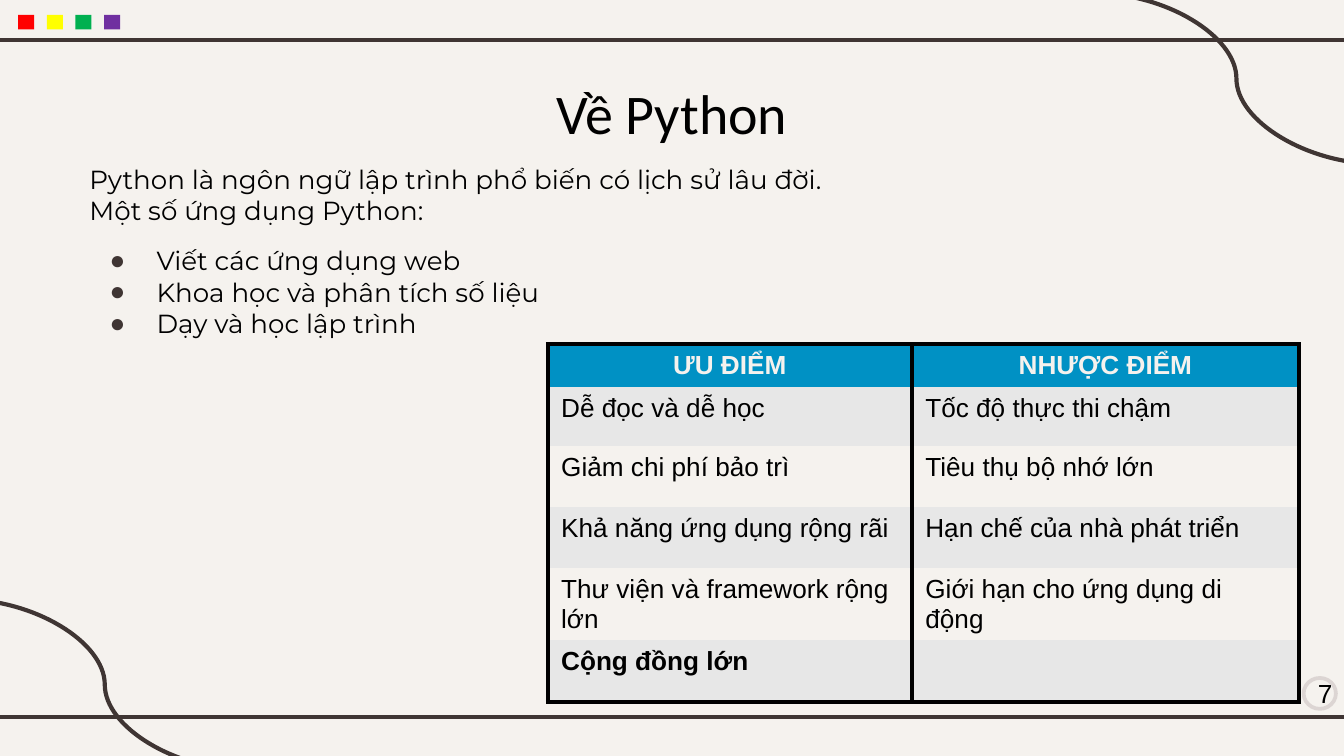
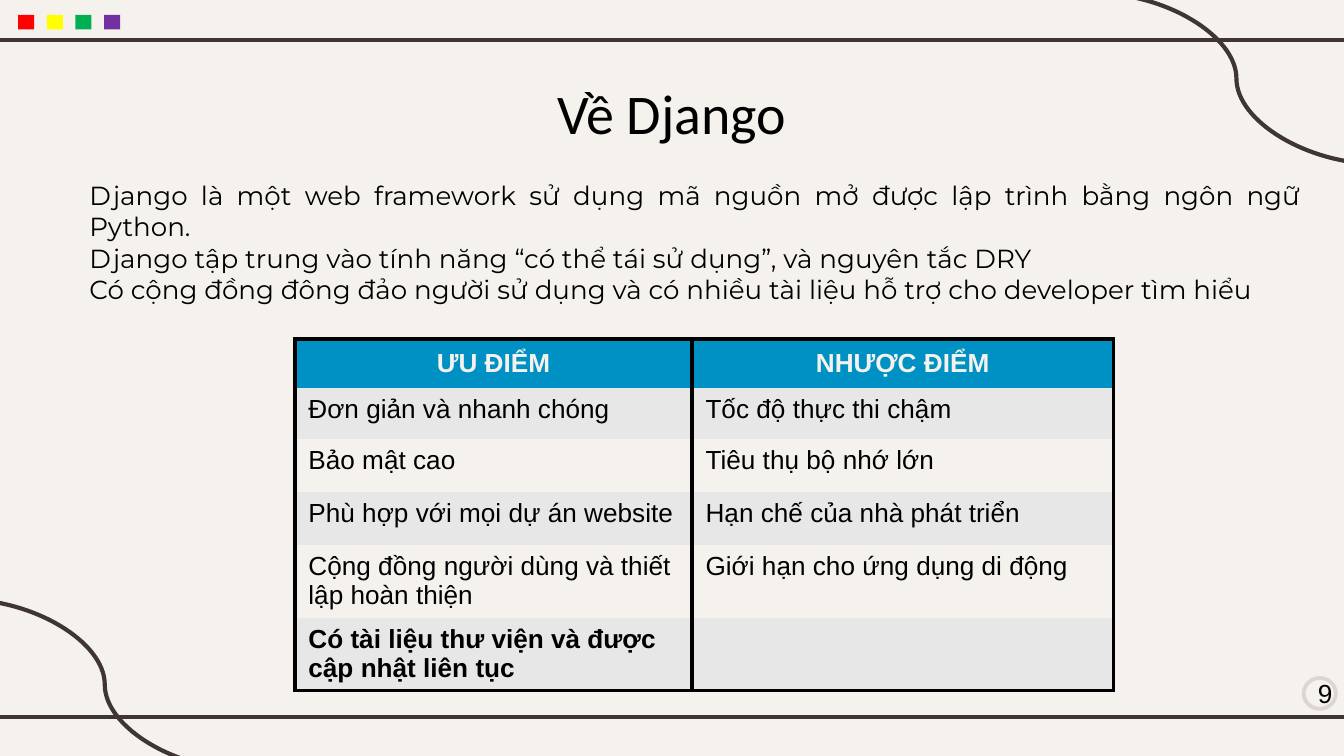
"""Builds two slides that weigh the pros and cons of Python and Django."""
import pptx
import pptx.dml.color
import pptx.enum.shapes
import pptx.enum.text
import pptx.oxml
import pptx.oxml.ns
import pptx.util

RGBColor = pptx.dml.color.RGBColor
ALIGN = pptx.enum.text.PP_ALIGN
ANCHOR = pptx.enum.text.MSO_ANCHOR
CONNECTOR = pptx.enum.shapes.MSO_CONNECTOR
SHAPE = pptx.enum.shapes.MSO_SHAPE
qn = pptx.oxml.ns.qn

CREAM = RGBColor(0xF5, 0xF2, 0xEE)
BROWN = RGBColor(0x3F, 0x35, 0x33)
BLACK = RGBColor(0, 0, 0)
BLUE = RGBColor(0x00, 0x91, 0xC4)
GREY = RGBColor(0xE7, 0xE7, 0xE7)
RING = RGBColor(0xDC, 0xD5, 0xD3)
MARKERS = (RGBColor(0xFF, 0, 0), RGBColor(0xFF, 0xFF, 0),
           RGBColor(0, 0xB0, 0x50), RGBColor(0x70, 0x30, 0xA0))

WIDTH, HEIGHT = pptx.util.Pt(720), pptx.util.Pt(405)
CELL = WIDTH / 100
INSET = 1
RULE = 2.25
PLAIN_TABLE = "{2D5ABB26-0587-4C30-8999-92F81FD0307C}"
HEADINGS = ("ƯU ĐIỂM", "NHƯỢC ĐIỂM")
DRAWBACKS = ("Tốc độ thực thi chậm", "Tiêu thụ bộ nhớ lớn",
             "Hạn chế của nhà phát triển", "Giới hạn cho ứng dụng di động", "")


def grid(*counts):
    """Turn counts of grid cells into lengths."""
    return [pptx.util.Emu(round(count * CELL)) for count in counts]


def element(name, content="", attributes=""):
    """Make one drawing element."""
    space = pptx.oxml.ns.nsdecls("a")
    return pptx.oxml.parse_xml(f"<a:{name} {space} {attributes}>{content}</a:{name}>")


def solid(colour):
    """Describe a solid fill."""
    return f'<a:solidFill><a:srgbClr val="{colour}"/></a:solidFill>'


class Painter:
    """Holds the deck's style and the current page."""

    def __init__(self):
        """Start an empty deck."""
        self.deck = pptx.Presentation()
        self.deck.slide_width, self.deck.slide_height = WIDTH, HEIGHT
        self.page = None

    def start(self, title, number):
        """Add a page with its frame, title and number."""
        self.page = self.deck.slides.add_slide(self.deck.slide_layouts[1])
        self.page.background.fill.solid()
        self.page.background.fill.fore_color.rgb = CREAM
        for row in (3, 53.35):
            self.line(CONNECTOR.STRAIGHT, -0.8, row, 100.8, row)
        for column, row in ((-2.75, 44.6), (81.45, -0.5)):
            self.line(CONNECTOR.CURVE, column, row, column + 21.1, row + 12.7)
        for index, colour in enumerate(MARKERS):
            self.shape(SHAPE.RECTANGLE, (1.35 + 2.13 * index, 1.1, 1.2, 1.1), fill=colour)
        self.title(title)
        self.number(number)

    def line(self, kind, *ends):
        """Draw a brown line between two grid points."""
        line = self.page.shapes.add_connector(kind, *grid(*ends))
        line.line.color.rgb = BROWN
        line.line.width = pptx.util.Pt(RULE)
        line.element.spPr.append(element("effectLst"))

    def shape(self, kind, area, fill=None, outline=None):
        """Draw a flat shape."""
        shape = self.page.shapes.add_shape(kind, *grid(*area))
        shape.shadow.inherit = False
        for part, colour in ((shape.fill, fill), (shape.line.fill, outline)):
            if colour is None:
                part.background()
            else:
                part.solid()
                part.fore_color.rgb = colour
        return shape

    def style(self, para, font, size, colour=BLACK, bold=False, align=ALIGN.LEFT):
        """Format a paragraph and its runs."""
        para.alignment = align
        for span in para.runs:
            span.font.name = font
            span.font.size = pptx.util.Pt(size)
            span.font.bold = bold
            span.font.color.rgb = colour

    def place(self, box, area, text):
        """Move a placeholder and fill it."""
        box.left, box.top, box.width, box.height = grid(*area)
        frame = box.text_frame
        frame.text = text
        frame.word_wrap = True
        frame.auto_size = pptx.enum.text.MSO_AUTO_SIZE.NONE
        frame.vertical_anchor = ANCHOR.TOP
        (frame.margin_left, frame.margin_top,
         frame.margin_right, frame.margin_bottom) = grid(*[INSET] * 4)
        return frame

    def title(self, text):
        """Fill the title."""
        frame = self.place(self.page.shapes.title, (18.95, 4.85, 62.1, 6.3), text)
        self.style(frame.paragraphs[0], "Calibri", 30, align=ALIGN.CENTER)

    def body(self, top, lines, bullets=()):
        """Fill the body with plain lines and then bullets."""
        frame = self.place(self.page.placeholders[1], (5.65, top, 92.2, 51.4 - top),
                           "\n".join([*lines, *bullets]))
        for index, para in enumerate(frame.paragraphs):
            self.style(para, "Montserrat", 14, align=ALIGN.JUSTIFY)
            para.line_spacing = 1.0
            para.space_before = pptx.util.Pt(10 if bullets and index == len(lines) else 0)
            properties = para._p.get_or_add_pPr()
            listed = index >= len(lines)
            margin, indent = grid(5, -3.5) if listed else (0, 0)
            properties.set("marL", str(margin))
            properties.set("indent", str(indent))
            if listed:
                properties.append(element("buClr", f'<a:srgbClr val="{BROWN}"/>'))
                properties.append(element("buChar", attributes='char="●"'))
            else:
                properties.append(element("buNone"))

    def table(self, corner, columns, rows, benefits):
        """Draw the table of benefits and drawbacks."""
        records = [HEADINGS, *zip(benefits, DRAWBACKS)]
        holder = self.page.shapes.add_table(
            len(rows), len(columns), *grid(*corner, sum(columns), sum(rows)))
        holder.element.find(".//" + qn("a:tableStyleId")).text = PLAIN_TABLE
        table = holder.table
        for column, width in zip(table.columns, grid(*columns)):
            column.width = width
        for index, (row, height, record) in enumerate(zip(table.rows, grid(*rows), records)):
            row.height = height
            header, last = index == 0, index == len(rows) - 1
            sides = "LR" + "T" * header + "B" * last
            for cell, text in zip(row.cells, record):
                cell.text = text
                cell.vertical_anchor = ANCHOR.MIDDLE if header else ANCHOR.TOP
                self.style(cell.text_frame.paragraphs[0], "Arial", 14,
                           CREAM if header else BLACK, header or last,
                           ALIGN.CENTER if header else ALIGN.LEFT)
                cell.fill.solid()
                cell.fill.fore_color.rgb = BLUE if header else GREY if index % 2 else CREAM
                self.borders(cell, sides)

    def borders(self, cell, sides):
        """Draw black borders on the named sides of a cell."""
        width = f'w="{pptx.util.Pt(RULE)}"'
        properties = cell._tc.get_or_add_tcPr()
        for position, side in enumerate(sides):
            properties.insert(position, element("ln" + side, solid(BLACK), width))

    def number(self, number):
        """Draw the ringed page number."""
        ring = self.shape(SHAPE.OVAL, (97, 50.45, 2.4, 2.3), outline=RING)
        ring.line.width = pptx.util.Pt(2)
        frame = ring.text_frame
        frame.text = str(number)
        frame.word_wrap = False
        frame.vertical_anchor = ANCHOR.MIDDLE
        (frame.margin_left, frame.margin_top,
         frame.margin_right, frame.margin_bottom) = grid(0.8, 0, 0, 0)
        self.style(frame.paragraphs[0], "Arial", 14, align=ALIGN.CENTER)


def main():
    """Build and save the deck."""
    painter = Painter()
    painter.start("Về Python", 7)
    painter.body(11.15, ("Python là ngôn ngữ lập trình phổ biến có lịch sử lâu đời. ",
                         "Một số ứng dụng Python:"),
                 ("Viết các ứng dụng web", "Khoa học và phân tích số liệu",
                  "Dạy và học lập trình "))
    painter.table((40.75, 25.6), (27.1, 28.8), (2.9, 4.4, 4.55, 4.55, 4.6, 4.6),
                  ("Dễ đọc và dễ học", "Giảm chi phí bảo trì", "Khả năng ứng dụng rộng rãi",
                   "Thư viện và framework rộng lớn", "Cộng đồng lớn"))
    painter.start("Về Django", 9)
    painter.body(12.35, (
        "Django là một web framework sử dụng mã nguồn mở được lập trình bằng ngôn ngữ Python.",
        "Django tập trung vào tính năng “có thể tái sử dụng”, và nguyên tắc DRY",
        "Có cộng đồng đông đảo người sử dụng và có nhiều tài liệu hỗ trợ cho developer tìm hiểu"))
    painter.table((21.95, 25.2), (29.55, 31.35), (3.7, 3.8, 3.9, 3.95, 5.45, 5.4),
                  ("Đơn giản và nhanh chóng", "Bảo mật cao", "Phù hợp với mọi dự án website",
                   "Cộng đồng người dùng và thiết lập hoàn thiện",
                   "Có tài liệu thư viện và được cập nhật liên tục"))
    painter.deck.save("out.pptx")


if __name__ == "__main__":
    main()
